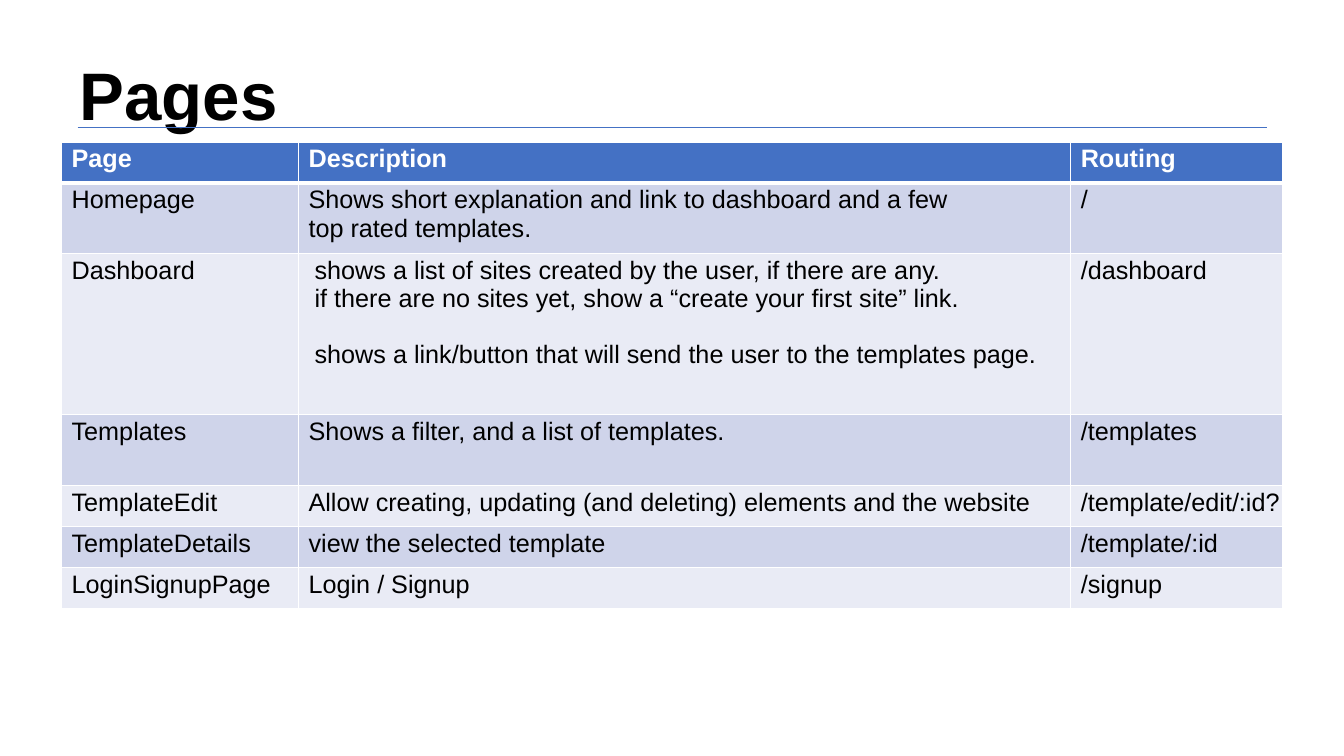
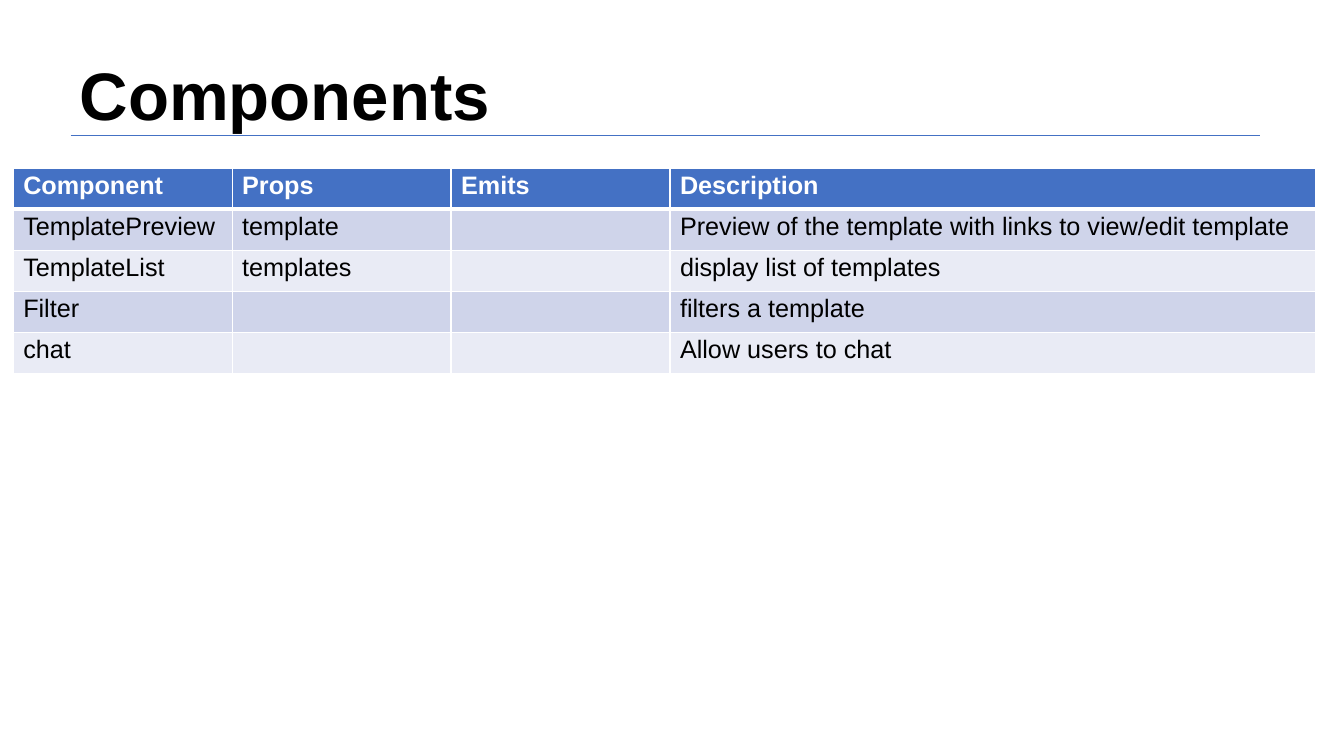
from dataclasses import dataclass
from typing import Any

from lxml.etree import SubElement as Sub
from pptx import Presentation
from pptx.dml.color import RGBColor as Rgb
from pptx.enum.shapes import MSO_CONNECTOR as Link
from pptx.enum.text import MSO_ANCHOR as Anchor, MSO_AUTO_SIZE as Fit, PP_ALIGN as Align
from pptx.oxml.ns import qn
from pptx.util import Inches, Pt


@dataclass(frozen=True)
class Theme:
    font: str = "Arial"
    big: float = 48
    base: float = 18
    ink: str = "000000"
    pale: str = "FFFFFF"
    blue: str = "4471C4"
    bands: tuple = ("CFD4EA", "E9EBF5")
    thin: float = 1
    thick: float = 3
    rule: float = 0.75


def put(item, **vals):
    for key, val in vals.items():
        setattr(item, key, val)


@dataclass
class Deck:
    """Builds slides in one style, with lengths in percent of the slide."""
    look: Theme
    show: Any
    slide: Any = None

    def wide(self, part):
        return round(self.show.slide_width * part / 100)

    def high(self, part):
        return round(self.show.slide_height * part / 100)

    def style(self, frame, size, tint, bold):
        for para in frame.paragraphs:
            para.alignment = Align.LEFT
            for item in (para, *para.runs):
                put(item.font, name=self.look.font, size=Pt(size), bold=bold)
                item.font.color.rgb = Rgb.from_string(tint)

    def page(self, text, width):
        self.slide = self.show.slides.add_slide(self.show.slide_layouts[5])
        title = self.slide.shapes.title
        put(title, left=self.wide(5.85), top=self.high(5.87),
            width=self.wide(width), height=self.high(11.07))
        frame = title.text_frame
        put(frame, text=text, word_wrap=True, auto_size=Fit.NONE,
            vertical_anchor=Anchor.TOP, margin_left=Inches(0.01),
            margin_top=Inches(0.09), margin_right=0, margin_bottom=0)
        self.style(frame, self.look.big, self.look.ink, True)

    def rule(self, left, top, width):
        x, y = self.wide(left), self.high(top)
        line = self.slide.shapes.add_connector(
            Link.STRAIGHT, x, y, x + self.wide(width), y)
        line.line.width = Pt(self.look.rule)
        line.line.color.rgb = Rgb.from_string(self.look.blue)
        Sub(line._element.spPr, qn("a:effectLst"))

    def edge(self, cell, row):
        heavy = {0: "lnB", 1: "lnT"}.get(row)
        props = cell._tc.get_or_add_tcPr()
        for side in ("lnL", "lnR", "lnT", "lnB"):
            size = self.look.thick if side == heavy else self.look.thin
            line = Sub(props, qn("a:" + side), w=str(int(Pt(size))))
            fill = Sub(line, qn("a:solidFill"))
            Sub(fill, qn("a:srgbClr"), val=self.look.pale)

    def table(self, left, top, cols, rows, data):
        grid = self.slide.shapes.add_table(
            len(rows), len(cols), self.wide(left), self.high(top),
            self.wide(sum(cols)), self.high(sum(rows))).table
        for col, part in zip(grid.columns, cols):
            col.width = self.wide(part)
        for row, part in zip(grid.rows, rows):
            row.height = self.high(part)
        for r, texts in enumerate(data):
            head = r == 0
            tint = self.look.blue if head else self.look.bands[(r - 1) % 2]
            for c, text in enumerate(texts):
                cell = grid.cell(r, c)
                put(cell, text=text, margin_left=Inches(0.1),
                    margin_top=Inches(0.03), margin_right=0, margin_bottom=0)
                self.edge(cell, r)
                cell.fill.solid()
                cell.fill.fore_color.rgb = Rgb.from_string(tint)
                self.style(cell.text_frame, self.look.base,
                           self.look.pale if head else self.look.ink, head)
        return grid


show = Presentation()
put(show, slide_width=Inches(13.33), slide_height=Inches(7.5))
deck = Deck(Theme(), show)
LINE = 5.42

deck.page("Pages", 84.1)
deck.rule(5.78, 16.93, 88.52)
pages = deck.table(
    4.58, 18.8, (17.63, 57.46, 15.75),
    (LINE, 9.33, 21.33, 9.33, LINE, LINE, LINE), (
        ("Page", "Description", "Routing"),
        ("Homepage", "Shows short explanation and link to dashboard and a few "
         "top rated templates.", "/"),
        ("Dashboard",
         "shows a list of sites created by the user, if there are any.\n"
         "if there are no sites yet, show a “create your first site” link.\n"
         "shows a link/button that will send the user to the templates page.",
         "/dashboard"),
        ("Templates", "Shows a filter, and a list of templates.", "/templates"),
        ("TemplateEdit", "Allow creating, updating (and deleting) elements "
         "and the website", "/template/edit/:id?"),
        ("TemplateDetails", "view the selected template", "/template/:id"),
        ("LoginSignupPage", "Login / Signup", "/signup")))
pages.cell(1, 1).margin_right = deck.wide(7.5)
dash = pages.cell(2, 1)
dash.margin_left = deck.wide(1.2)
dash.text_frame.paragraphs[-1].space_before = Pt(20)

deck.page("Components", 78.54)
deck.rule(5.25, 17.87, 88.52)
deck.table(
    0.98, 22.27, (16.29,) * 3 + (48.01,), (LINE,) * 5, (
        ("Component", "Props", "Emits", "Description"),
        ("TemplatePreview", "template", "",
         "Preview of the template with links to view/edit template"),
        ("TemplateList", "templates", "", "display list of templates"),
        ("Filter", "", "", "filters a template"),
        ("chat", "", "", "Allow users to chat")))

show.save("out.pptx")
